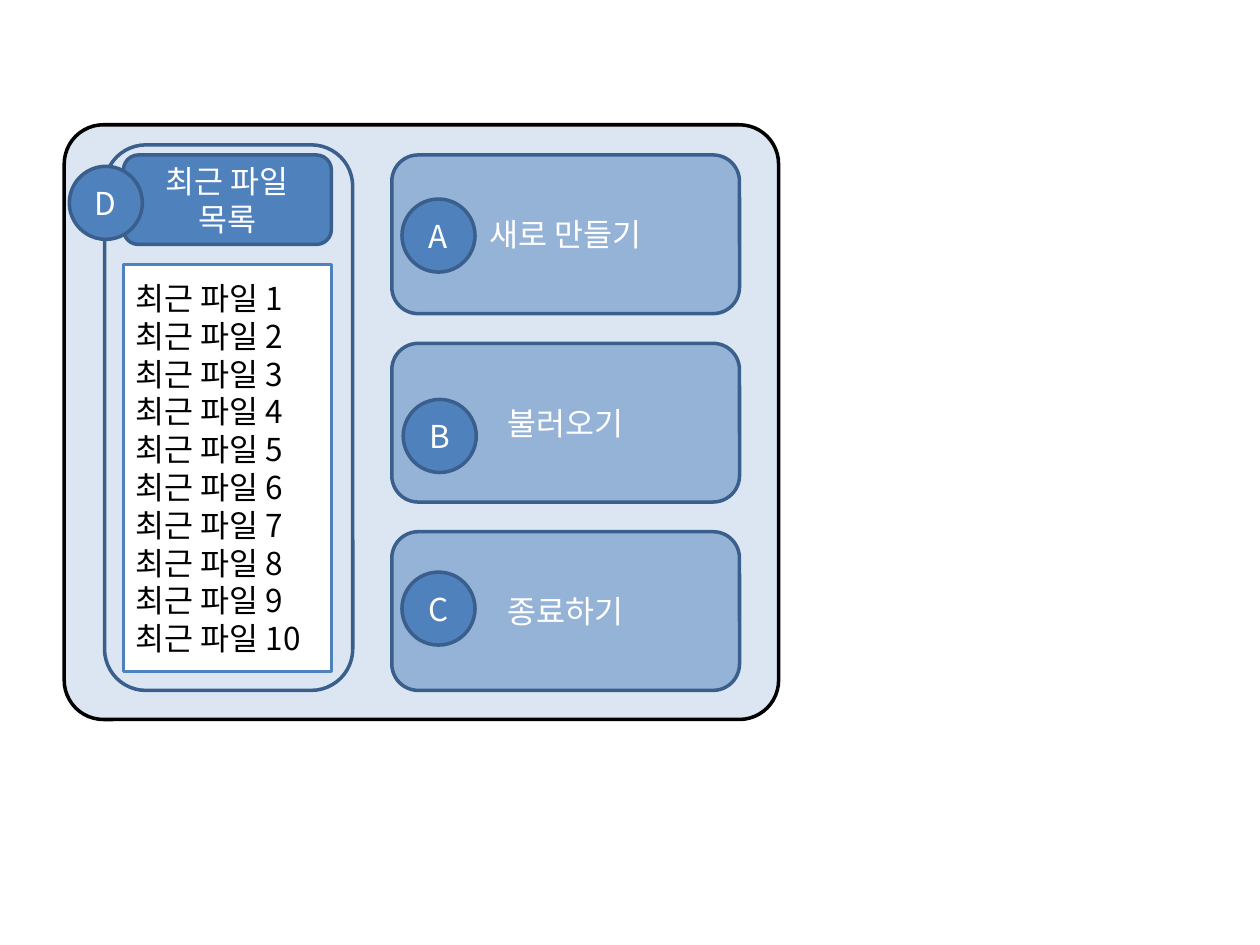
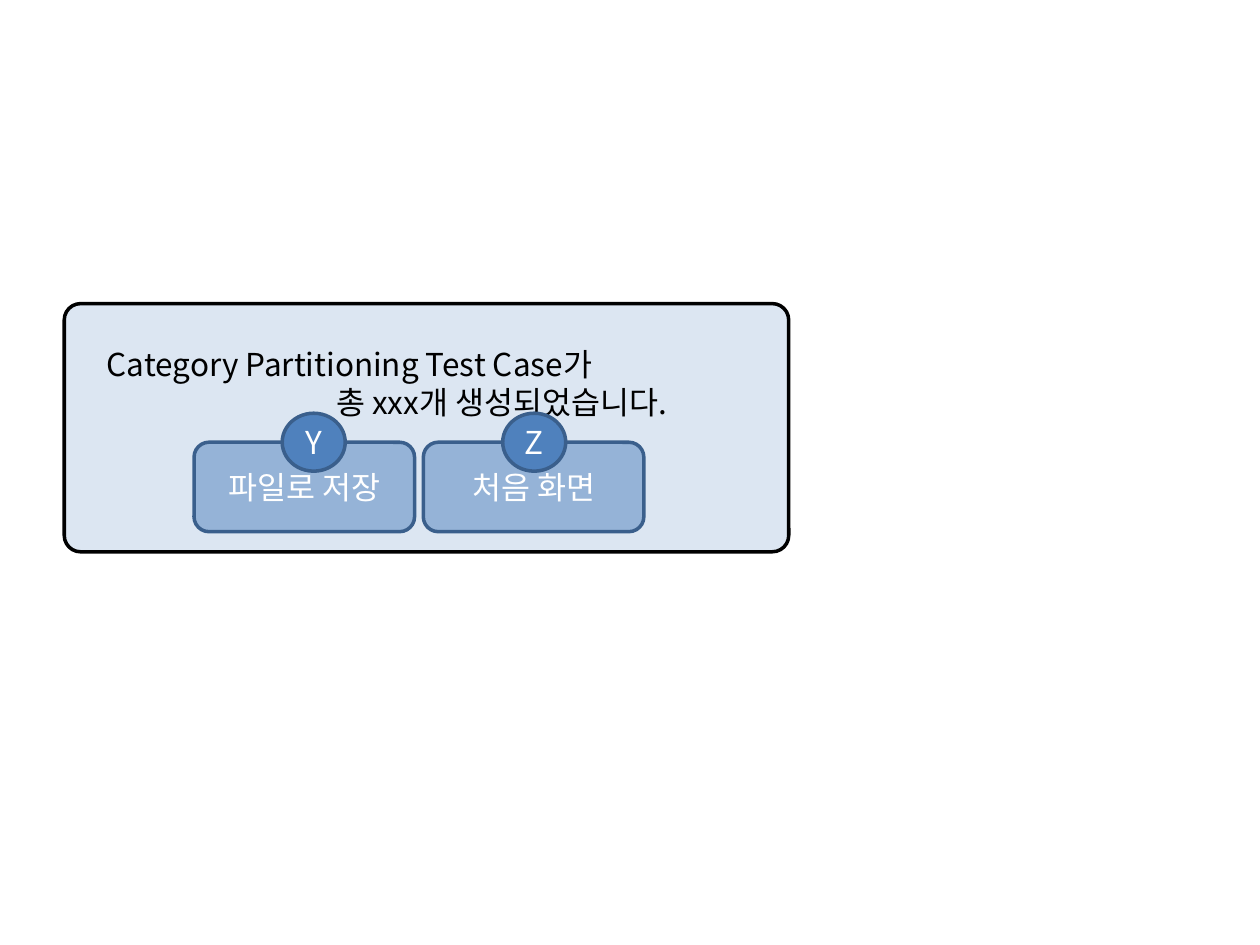
from pptx import Presentation
from pptx.dml.color import RGBColor
from pptx.enum.shapes import MSO_SHAPE as SHAPE
from pptx.enum.text import MSO_ANCHOR as ANCHOR, PP_ALIGN as ALIGN
from pptx.oxml.ns import qn
from pptx.util import Inches, Pt

FONT = "Noto Sans CJK KR"
COLORS = {
    "panel": "DCE6F2", "button": "95B3D7", "accent": "4F81BD",
    "edge": "3A5F8C", "black": "000000", "white": "FFFFFF",
}

# Start screen
MENU = [("새로 만들기", "A", 3.19, 1.58),
        ("불러오기", "B", 3.2, 3.17),
        ("종료하기", "C", 3.19, 4.54)]
MENU_LEFT, MENU_TOP, MENU_W, MENU_H, MENU_STEP = 3.11, 1.23, 2.76, 1.26, 1.495
RECENT_TITLE, RECENT_KEY = "최근 파일 목록", "D"
RECENT_FILES = [f"최근 파일 {n}" for n in range(1, 11)]

# Result dialog
RESULT = ["Category Partitioning Test Case가", "총 xxx개 생성되었습니다."]
RESULT_INDENT = 1.82
ACTIONS = [("파일로 저장", "Y", 2.24), ("처음 화면", "Z", 3.99)]
ACTION_LEFT, ACTION_STEP = 1.54, 1.82


def color(name):
    return RGBColor.from_string(COLORS[name])


def write(tf, *lines, ink="white", align=ALIGN.CENTER, anchor=ANCHOR.MIDDLE):
    tf.word_wrap = True
    tf.vertical_anchor = anchor
    for i, line in enumerate(lines):
        p = tf.paragraphs[0] if i == 0 else tf.add_paragraph()
        p.alignment = align
        r = p.add_run()
        r.text = line
        r.font.name, r.font.size = FONT, Pt(18)
        r.font.color.rgb = color(ink)
        ea = r.font._element.makeelement(qn("a:ea"), {"typeface": FONT})
        r.font._element.find(qn("a:latin")).addnext(ea)


def add_box(s, at, fill, *lines, kind=SHAPE.ROUNDED_RECTANGLE, line="edge",
            radius=None, **text_format):
    sp = s.shapes.add_shape(kind, *map(Inches, at))
    sp.shadow.inherit = False
    sp.fill.solid()
    sp.fill.fore_color.rgb = color(fill)
    sp.line.color.rgb = color(line)
    sp.line.width = Pt(2)
    if radius is not None:
        sp.adjustments[0] = radius
    write(sp.text_frame, *lines, **text_format)
    return sp


def add_window(s, at):
    add_box(s, at, "panel", line="black", radius=0.066)


def add_key(s, letter, left, top, width=0.58, height=0.58):
    """Round marker with the letter of a screen element."""
    sp = add_box(s, (left, top, width, height), "accent", letter, kind=SHAPE.OVAL)
    sp.text_frame.margin_left = sp.text_frame.margin_right = 0


def build_start_screen(s):
    add_window(s, (0.51, 0.99, 5.67, 4.72))
    add_box(s, (0.83, 1.15, 1.97, 4.33), "panel")
    add_box(s, (0.98, 1.23, 1.65, 0.71), "accent", RECENT_TITLE)
    add_box(s, (0.98, 2.1, 1.65, 3.23), "white", *RECENT_FILES,
            kind=SHAPE.RECTANGLE, line="accent", ink="black", align=ALIGN.LEFT)
    for i, (label, key, key_left, key_top) in enumerate(MENU):
        top = MENU_TOP + i * MENU_STEP
        add_box(s, (MENU_LEFT, top, MENU_W, MENU_H), "button", label)
        add_key(s, key, key_left, key_top)
    add_key(s, RECENT_KEY, 0.55, 1.32)


def build_result_dialog(s):
    add_window(s, (0.51, 2.41, 5.75, 1.97))
    tf = s.shapes.add_textbox(*map(Inches, (0.75, 2.69, 5.39, 0.71))).text_frame
    write(tf, *RESULT, ink="black", align=ALIGN.LEFT, anchor=ANCHOR.TOP)
    pPr = tf.paragraphs[1]._p.get_or_add_pPr()
    pPr.set("marL", str(Inches(RESULT_INDENT)))
    pPr.set("indent", "0")
    for i, (label, key, key_left) in enumerate(ACTIONS):
        left = ACTION_LEFT + i * ACTION_STEP
        add_box(s, (left, 3.51, 1.75, 0.71), "button", label)
        add_key(s, key, key_left, 3.28, 0.5, 0.46)


def main():
    prs = Presentation()
    prs.slide_width, prs.slide_height = Inches(10), Inches(7.5)
    blank = prs.slide_layouts[6]
    for build in (build_start_screen, build_result_dialog):
        build(prs.slides.add_slide(blank))
    prs.save("out.pptx")


if __name__ == "__main__":
    main()
